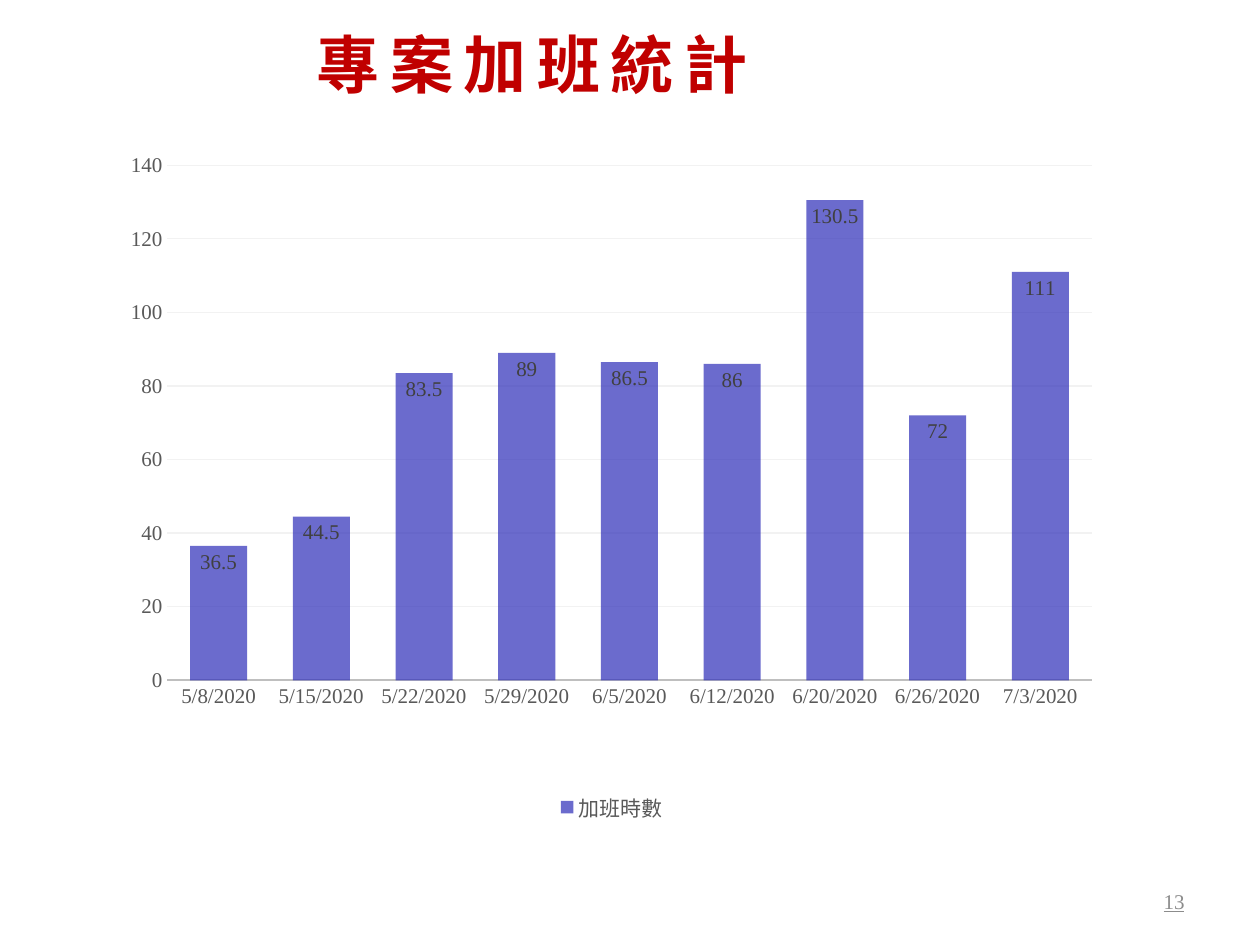
from dataclasses import dataclass

from lxml import etree
from pptx import Presentation
from pptx.chart.data import CategoryChartData
from pptx.dml.color import RGBColor
from pptx.enum.chart import XL_CHART_TYPE, XL_LABEL_POSITION, XL_LEGEND_POSITION, XL_TICK_MARK
from pptx.enum.text import MSO_ANCHOR, PP_ALIGN
from pptx.oxml import parse_xml
from pptx.oxml.ns import nsdecls, qn
from pptx.util import Cm, Pt

COLUMNS = XL_CHART_TYPE.COLUMN_CLUSTERED
INSIDE_END = XL_LABEL_POSITION.INSIDE_END
BOTTOM = XL_LEGEND_POSITION.BOTTOM
NO_TICK = XL_TICK_MARK.NONE
TOP, MIDDLE = MSO_ANCHOR.TOP, MSO_ANCHOR.MIDDLE
CENTER, RIGHT = PP_ALIGN.CENTER, PP_ALIGN.RIGHT


@dataclass(frozen=True)
class Theme:
    """Colours, fonts and type sizes of the slide."""
    heading_font: str = "Noto Sans CJK SC"
    body_font: str = "Times New Roman"
    heading_size: int = 36
    body_size: int = 12
    heading: str = "C00000"
    page_number: str = "8C8C8C"
    axis_text: str = "595959"
    label_text: str = "404040"
    bar: str = "2D2DB9"
    axis_line: str = "BFBFBF"
    grid: str = "F2F2F2"


THEME = Theme()
OVERTIME_HOURS = {
    "5/8/2020": 36.5, "5/15/2020": 44.5, "5/22/2020": 83.5,
    "5/29/2020": 89, "6/5/2020": 86.5, "6/12/2020": 86,
    "6/20/2020": 130.5, "6/26/2020": 72, "7/3/2020": 111,
}
PLOT_LAYOUT = {"x": 0.053, "y": 0.03, "w": 0.93, "h": 0.754}


def apply(target, formats):
    """Set each attribute named in formats on target."""
    for name, value in formats.items():
        setattr(target, name, value)


def style_font(font, color, **formats):
    """Give a font the body style, its colour and any overrides."""
    apply(font, {"name": THEME.body_font, "size": Pt(THEME.body_size), **formats})
    font.color.rgb = RGBColor.from_string(color)


def style_line(line, color, width):
    """Give a line its colour and width in points."""
    line.color.rgb = RGBColor.from_string(color)
    line.width = Pt(width)


def add_text(slide, box, text, anchor, alignment):
    """Place one line of text in a box and return its run."""
    frame = slide.shapes.add_textbox(*box).text_frame
    apply(frame, {"word_wrap": True, "vertical_anchor": anchor})
    paragraph = frame.paragraphs[0]
    paragraph.alignment = alignment
    run = paragraph.add_run()
    run.text = text
    return run


def add_heading(slide, box):
    """Place the letter-spaced heading."""
    run = add_text(slide, box, "專案加班統計", TOP, CENTER)
    style_font(run.font, THEME.heading, name=THEME.heading_font,
               size=Pt(THEME.heading_size), bold=True)
    properties = run._r.get_or_add_rPr()
    properties.set("spc", "600")
    etree.SubElement(properties, qn("a:ea"), typeface=THEME.heading_font)


def add_page_number(slide, box):
    """Place the underlined page number."""
    run = add_text(slide, box, "13", MIDDLE, RIGHT)
    style_font(run.font, THEME.page_number, underline=True)


def fix_plot_area(chart):
    """Pin the inner plot area to its share of the chart."""
    plot_area = chart._chartSpace.chart.plotArea
    for automatic in plot_area.findall(qn("c:layout")):
        plot_area.remove(automatic)
    modes = '<c:xMode val="edge"/><c:yMode val="edge"/>'
    shares = "".join(f'<c:{side} val="{share}"/>' for side, share in PLOT_LAYOUT.items())
    plot_area.insert(0, parse_xml(
        f'<c:layout {nsdecls("c")}><c:manualLayout><c:layoutTarget val="inner"/>'
        f'{modes}{shares}</c:manualLayout></c:layout>'))


def style_axes(chart):
    """Format the date axis, the hours axis and the gridlines."""
    dates, hours = chart.category_axis, chart.value_axis
    for axis in (dates, hours):
        apply(axis, {"major_tick_mark": NO_TICK, "minor_tick_mark": NO_TICK})
        style_font(axis.tick_labels.font, THEME.axis_text)
    style_line(dates.format.line, THEME.axis_line, 1.25)
    hours.format.line.fill.background()
    apply(hours, {"minimum_scale": 0, "maximum_scale": 140, "major_unit": 20})
    style_line(hours.major_gridlines.format.line, THEME.grid, 0.75)


def style_bars(plot):
    """Format the translucent bars and their value labels."""
    apply(plot, {"gap_width": 80, "overlap": 25, "vary_by_categories": False,
                 "has_data_labels": True})
    fill = plot.series[0].format.fill
    fill.solid()
    fill.fore_color.rgb = RGBColor.from_string(THEME.bar)
    color = plot.series[0]._element.find(".//" + qn("a:srgbClr"))
    etree.SubElement(color, qn("a:alpha"), val="70000")
    labels = plot.data_labels
    apply(labels, {"show_value": True, "position": INSIDE_END,
                   "number_format": "General", "number_format_is_linked": False})
    style_font(labels.font, THEME.label_text)


def add_overtime_chart(slide, box):
    """Place the column chart of overtime hours by date."""
    data = CategoryChartData()
    data.categories = list(OVERTIME_HOURS)
    data.add_series("加班時數", list(OVERTIME_HOURS.values()))
    chart = slide.shapes.add_chart(COLUMNS, *box, data).chart
    apply(chart, {"has_title": False, "has_legend": True})
    style_font(chart.font, THEME.axis_text)
    apply(chart.legend, {"position": BOTTOM, "include_in_layout": False})
    style_font(chart.legend.font, THEME.axis_text)
    style_axes(chart)
    style_bars(chart.plots[0])
    fix_plot_area(chart)


def main():
    """Build the overtime slide and save it."""
    deck = Presentation()
    apply(deck, {"slide_width": Cm(25.4), "slide_height": Cm(19.05)})
    slide = deck.slides.add_slide(deck.slide_layouts[6])
    add_heading(slide, (Cm(0.71), Cm(0.38), Cm(20.04), Cm(2.21)))
    add_overtime_chart(slide, (Cm(2.31), Cm(2.92), Cm(20.04), Cm(13.77)))
    add_page_number(slide, (Cm(18.21), Cm(17.65), Cm(5.92), Cm(1.02)))
    deck.save("out.pptx")


if __name__ == "__main__":
    main()
